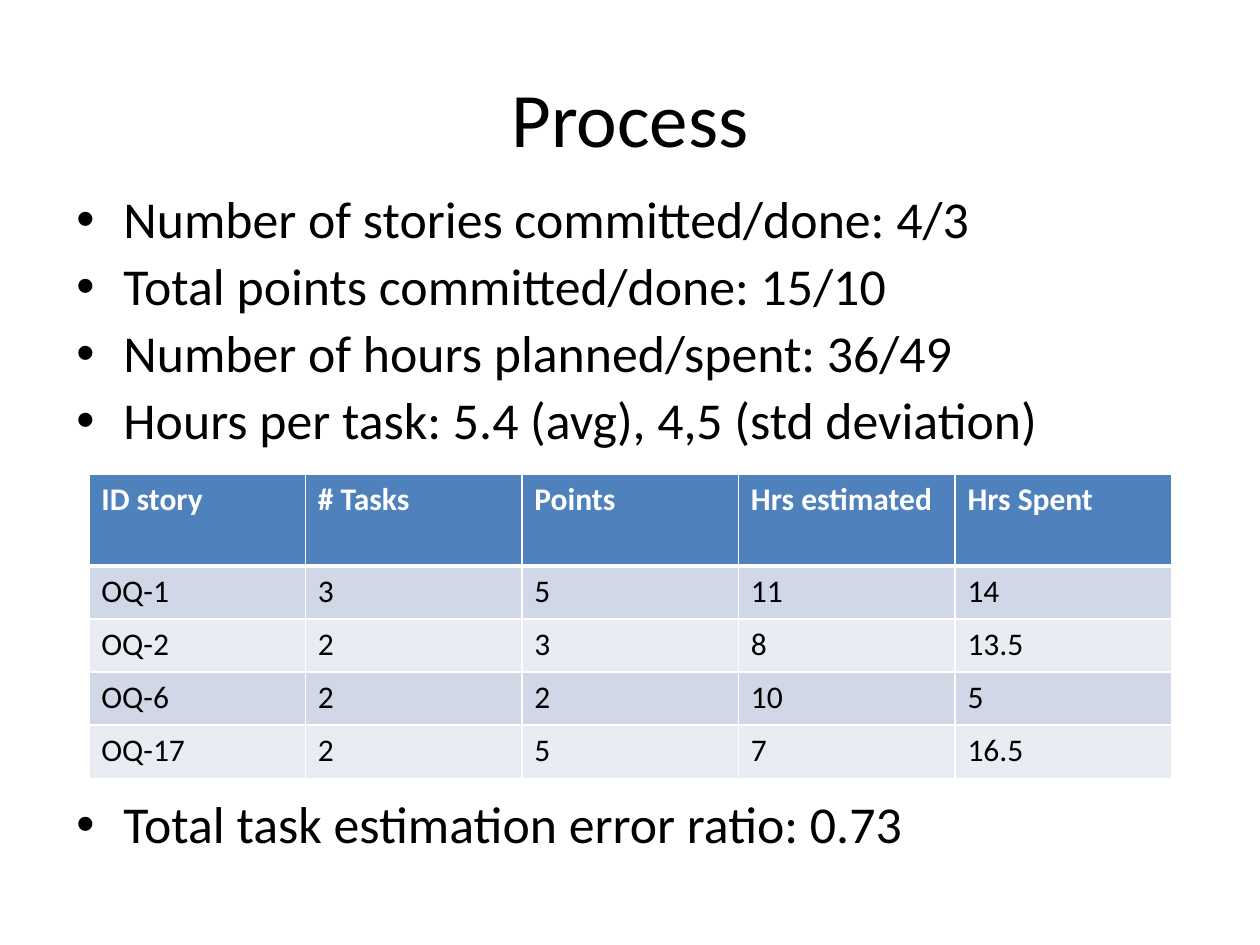
"""Build a sprint process slide with bullet metrics and a table of stories."""
from lxml import etree
from pptx import Presentation
from pptx.dml.color import RGBColor
from pptx.enum import text
from pptx.oxml import ns
from pptx.util import Cm, Pt

FONT = "Calibri"
COLOURS = {
    "text": "000000",
    "white": "FFFFFF",
    "header": "4F81BD",
    "odd": "D0D8E7",
    "even": "E9ECF3",
}
METRICS = [
    "Number of stories committed/done: 4/3",
    "Total points committed/done: 15/10",
    "Number of hours planned/spent: 36/49",
    "Hours per task: 5.4 (avg), 4,5 (std deviation)",
    "Total task estimation error ratio: 0.73",
]
STORIES = [
    ["ID story", "# Tasks", "Points", "Hrs estimated", "Hrs Spent"],
    ["OQ-1", "3", "5", "11", "14"],
    ["OQ-2", "2", "3", "8", "13.5"],
    ["OQ-6", "2", "2", "10", "5"],
    ["OQ-17", "2", "5", "7", "16.5"],
]
LINE_GAP = 6.4
TABLE_GAP = 192


def colour(name):
    return RGBColor.from_string(COLOURS[name])


def set_font(paragraph, size, colour_name="text", bold=False):
    font = paragraph.font
    font.name, font.size, font.bold = FONT, Pt(size), bold
    font.color.rgb = colour(colour_name)


def set_title(slide, wording):
    title = slide.shapes.title
    title.left, title.top = Cm(1.27), Cm(0.76)
    title.width, title.height = Cm(22.86), Cm(3.18)
    title.text_frame.text = wording
    title.text_frame.vertical_anchor = text.MSO_ANCHOR.MIDDLE
    paragraph = title.text_frame.paragraphs[0]
    paragraph.alignment = text.PP_ALIGN.CENTER
    set_font(paragraph, 44)


def add_bullet(paragraph):
    properties = paragraph._p.get_or_add_pPr()
    properties.set("marL", str(Cm(0.97)))
    properties.set("indent", str(Cm(-0.95)))
    bullet_font = etree.Element(ns.qn("a:buFont"), typeface="Arial")
    bullet = etree.Element(ns.qn("a:buChar"), char="•")
    properties.extend([bullet_font, bullet])


def add_metrics(slide):
    box = slide.shapes.add_textbox(Cm(1.27), Cm(3.78), Cm(22.86), Cm(14))
    frame = box.text_frame
    frame.word_wrap = True
    frame.text = "\n".join(METRICS)
    for paragraph in frame.paragraphs:
        set_font(paragraph, 29.6)
        paragraph.line_spacing = 0.9
        paragraph.space_before = Pt(LINE_GAP)
        add_bullet(paragraph)
    frame.paragraphs[-1].space_before = Pt(LINE_GAP + TABLE_GAP)


def add_border(cell, side, width):
    properties = cell._tc.get_or_add_tcPr()
    line = etree.SubElement(properties, ns.qn(f"a:ln{side}"), w=str(Pt(width)))
    fill = etree.SubElement(line, ns.qn("a:solidFill"))
    etree.SubElement(fill, ns.qn("a:srgbClr"), val=COLOURS["white"])


def format_cell(cell, row):
    thick_side = {0: "B", 1: "T"}.get(row)
    for side in "LRTB":
        add_border(cell, side, 3 if side == thick_side else 0.96)
    cell.fill.solid()
    fill_name = "header" if row == 0 else "odd" if row % 2 else "even"
    cell.fill.fore_color.rgb = colour(fill_name)
    set_font(cell.text_frame.paragraphs[0], 18,
             "text" if row else "white", bold=row == 0)


def add_story_table(slide):
    frame = slide.shapes.add_table(len(STORIES), len(STORIES[0]),
                                   Cm(1.79), Cm(9.56), Cm(21.83), Cm(6.14))
    table = frame.table
    for row, values in enumerate(STORIES):
        table.rows[row].height = Cm(1.07 if row else 1.85)
        for column, value in enumerate(values):
            cell = table.cell(row, column)
            cell.text = value
            format_cell(cell, row)


def main():
    presentation = Presentation()
    presentation.slide_width, presentation.slide_height = Cm(25.4), Cm(19.05)
    slide = presentation.slides.add_slide(presentation.slide_layouts[5])
    set_title(slide, "Process")
    add_metrics(slide)
    add_story_table(slide)
    presentation.save("out.pptx")


if __name__ == "__main__":
    main()
